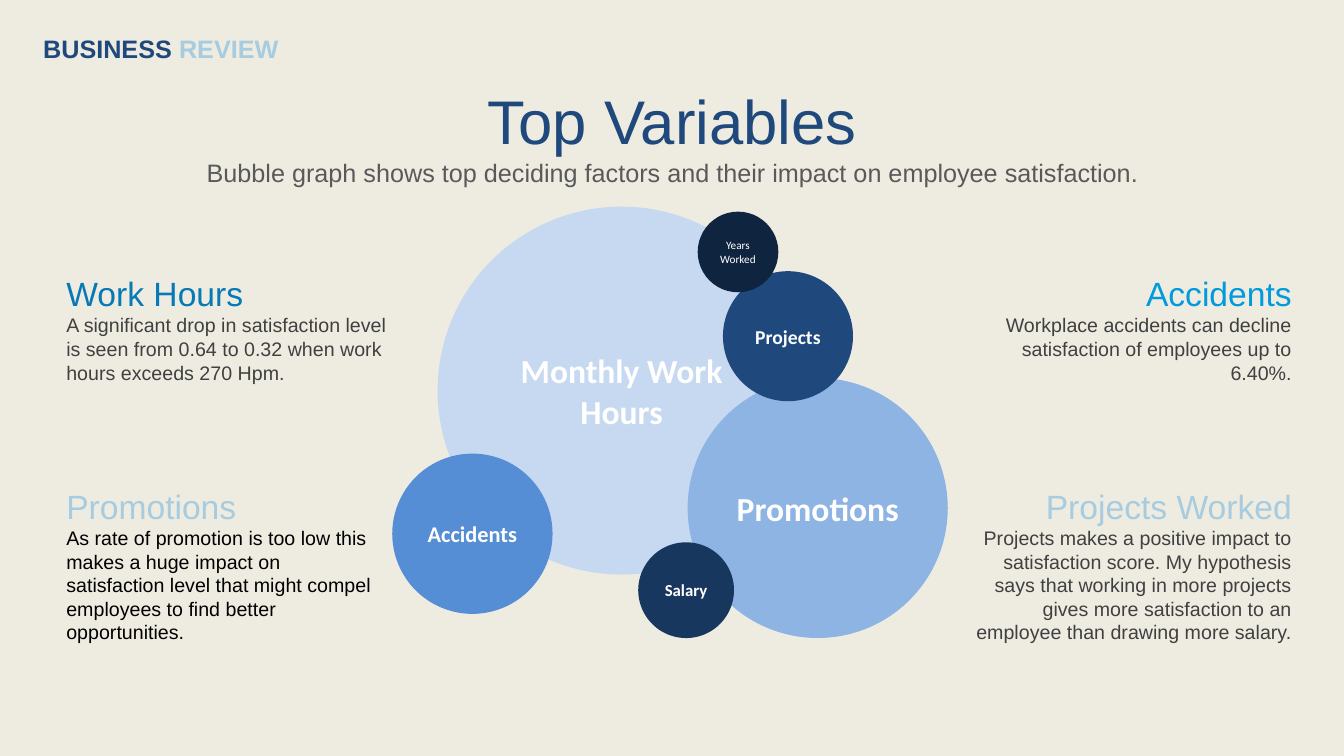
from pptx import Presentation
from pptx.dml.color import RGBColor
from pptx.enum.shapes import MSO_SHAPE
from pptx.enum.text import MSO_ANCHOR, MSO_AUTO_SIZE, PP_ALIGN
from pptx.util import Inches, Pt

CREAM = RGBColor(0xEE, 0xEC, 0xE1)
WHITE = RGBColor(0xFF, 0xFF, 0xFF)
BLACK = RGBColor(0x00, 0x00, 0x00)
CHARCOAL = RGBColor(0x40, 0x40, 0x40)
GRAY = RGBColor(0x59, 0x59, 0x59)
NAVY = RGBColor(0x1F, 0x49, 0x7D)
DEEP_NAVY = RGBColor(0x17, 0x37, 0x5E)
MIDNIGHT = RGBColor(0x0F, 0x24, 0x3E)
MID_BLUE = RGBColor(0x55, 0x8E, 0xD5)
SOFT_BLUE = RGBColor(0x8E, 0xB4, 0xE3)
PALE_BLUE = RGBColor(0xC6, 0xD9, 0xF1)
SKY = RGBColor(0x01, 0x9A, 0xDD)
OCEAN = RGBColor(0x07, 0x79, 0xB7)
MIST = RGBColor(0xA7, 0xCC, 0xDF)


class VariablesSlide:
    text_font = "Arial"
    bubble_font = "Calibri"

    def __init__(self, presentation):
        self.slide = presentation.slides.add_slide(presentation.slide_layouts[6])
        self.slide.background.fill.solid()
        self.slide.background.fill.fore_color.rgb = CREAM

    def style(self, run, font, size, color, bold=False):
        run.font.name = font
        run.font.size = Pt(size)
        run.font.color.rgb = color
        run.font.bold = bold

    def text(self, left, top, width, height, paragraphs, align=PP_ALIGN.LEFT):
        """Each paragraph is a list of (text, size, color, bold) runs."""
        box = self.slide.shapes.add_textbox(
            Inches(left), Inches(top), Inches(width), Inches(height))
        frame = box.text_frame
        frame.word_wrap = True
        frame.auto_size = MSO_AUTO_SIZE.SHAPE_TO_FIT_TEXT
        for index, runs in enumerate(paragraphs):
            paragraph = frame.add_paragraph() if index else frame.paragraphs[0]
            paragraph.alignment = align
            for words, size, color, bold in runs:
                run = paragraph.add_run()
                run.text = words
                self.style(run, self.text_font, size, color, bold)

    def factor(self, left, top, width, height, heading, heading_color,
               detail, detail_color, align):
        self.text(left, top, width, height,
                  [[(heading, 24, heading_color, False)],
                   [(detail, 14, detail_color, False)]], align)

    def bubble(self, left, top, diameter, label, size, color, bold=True):
        circle = self.slide.shapes.add_shape(
            MSO_SHAPE.OVAL, Inches(left), Inches(top),
            Inches(diameter), Inches(diameter))
        circle.shadow.inherit = False
        circle.fill.solid()
        circle.fill.fore_color.rgb = color
        circle.line.fill.background()
        frame = circle.text_frame
        frame.word_wrap = True
        frame.vertical_anchor = MSO_ANCHOR.MIDDLE
        frame.text = label
        frame.paragraphs[0].alignment = PP_ALIGN.CENTER
        self.style(frame.paragraphs[0].runs[0], self.bubble_font, size, WHITE, bold)


def main():
    presentation = Presentation()
    presentation.slide_width = Inches(13.33)
    presentation.slide_height = Inches(7.5)
    page = VariablesSlide(presentation)

    # Header, title and subtitle
    page.text(0.33, 0.28, 3.54, 0.4,
              [[("BUSINESS ", 18, NAVY, True), ("REVIEW", 18, MIST, True)]])
    page.text(4.34, 0.77, 4.66, 0.84,
              [[("Top Variables", 44, NAVY, False)]], PP_ALIGN.CENTER)
    page.text(1.92, 1.51, 9.5, 0.4,
              [[("Bubble graph shows top deciding factors and their impact "
                 "on employee satisfaction.", 18, GRAY, False)]], PP_ALIGN.CENTER)

    # Bubbles, from back to front
    for bubble in (
        (4.34, 2.05, 3.65, "Monthly Work Hours", 24, PALE_BLUE),
        (6.82, 3.75, 2.58, "Promotions", 24, SOFT_BLUE),
        (3.89, 4.5, 1.59, "Accidents", 16, MID_BLUE),
        (7.17, 2.69, 1.29, "Projects", 14, NAVY),
        (6.33, 5.38, 0.95, "Salary", 12, DEEP_NAVY),
        (6.92, 2.1, 0.8, "Years Worked", 8, MIDNIGHT, False),
    ):
        page.bubble(*bubble)

    # Factor descriptions in two rows, either side of the bubbles
    upper, lower = (2.66, 1.21), (4.77, 1.68)
    left_edge, right_edge = 0.56, 12.91
    for (top, height), width, heading, heading_color, detail, detail_color in (
        (upper, 3.47, "Work Hours", OCEAN,
         "A significant drop in satisfaction level is seen from 0.64 to 0.32 "
         "when work hours exceeds 270 Hpm.", CHARCOAL),
        (lower, 3.33, "Promotions", MIST,
         "As rate of promotion is too low this makes a huge impact on "
         "satisfaction level that might compel employees to find better "
         "opportunities.", BLACK),
    ):
        page.factor(left_edge, top, width, height, heading, heading_color,
                    detail, detail_color, PP_ALIGN.LEFT)
    for (top, height), width, heading, heading_color, detail in (
        (upper, 3.33, "Accidents", SKY,
         "Workplace accidents can decline satisfaction of employees up to 6.40%."),
        (lower, 3.47, "Projects Worked", MIST,
         "Projects makes a positive impact to satisfaction score. My hypothesis "
         "says that working in more projects gives more satisfaction to an "
         "employee than drawing more salary."),
    ):
        page.factor(right_edge - width, top, width, height, heading,
                    heading_color, detail, CHARCOAL, PP_ALIGN.RIGHT)

    presentation.save("out.pptx")


if __name__ == "__main__":
    main()
